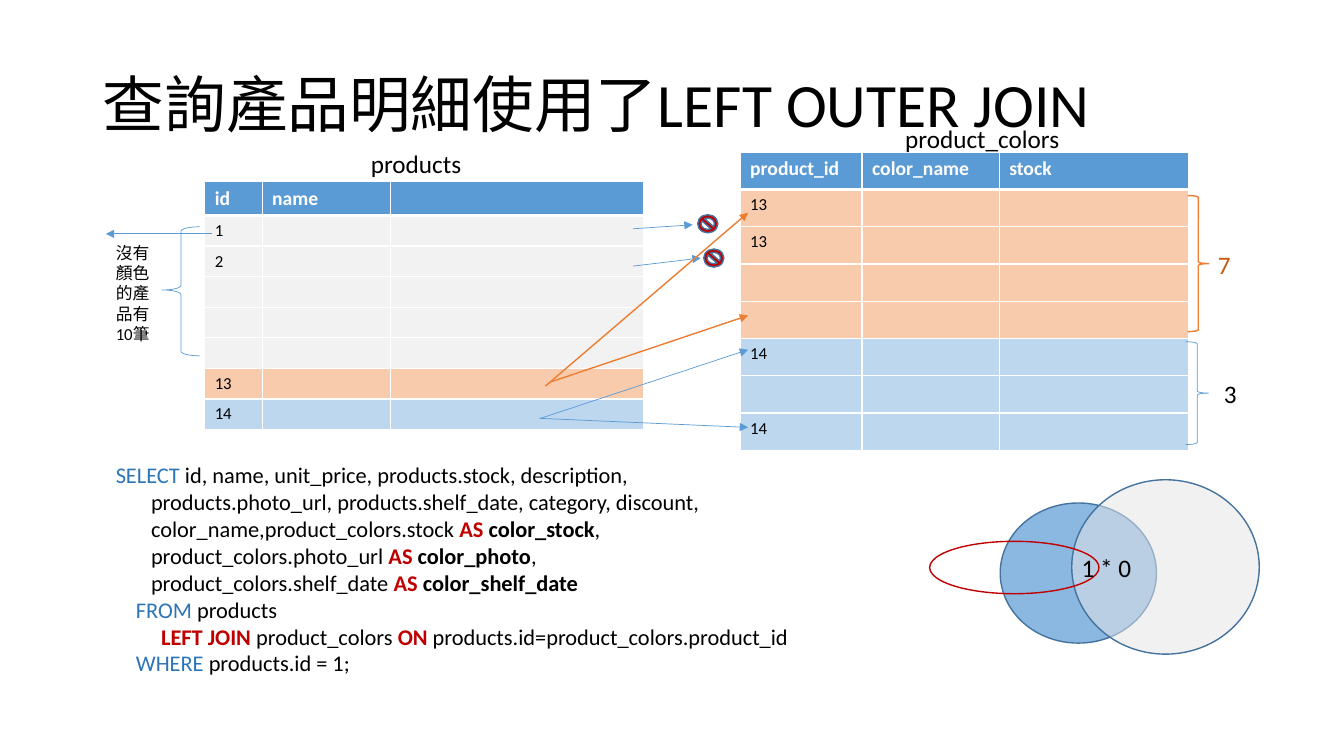
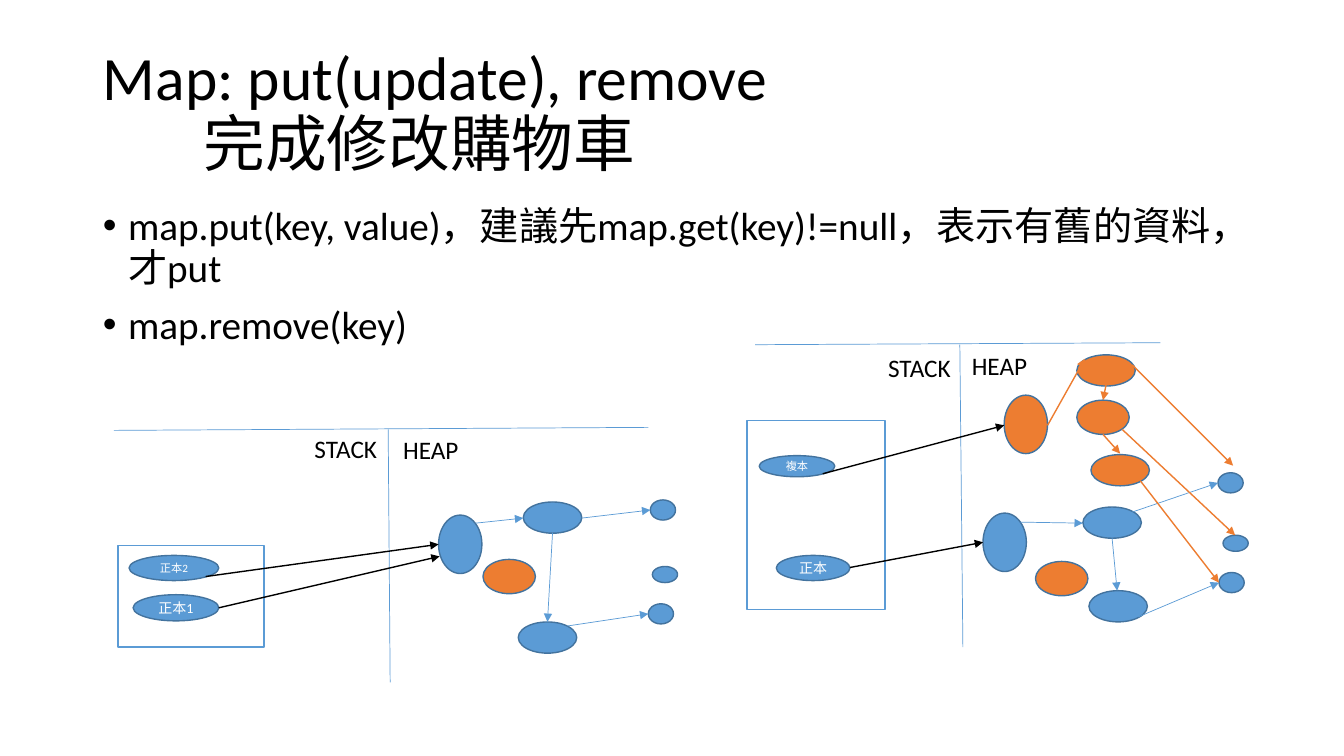
from lxml.etree import SubElement
from pptx import Presentation
from pptx.dml.color import RGBColor
from pptx.enum.shapes import MSO_CONNECTOR, MSO_SHAPE
from pptx.enum.text import MSO_ANCHOR, MSO_AUTO_SIZE, PP_ALIGN
from pptx.oxml.ns import qn
from pptx.util import Inches, Pt

BLACK = RGBColor(0x00, 0x00, 0x00)
WHITE = RGBColor(0xFF, 0xFF, 0xFF)
BLUE = RGBColor(0x5B, 0x9B, 0xD5)
DARK_BLUE = RGBColor(0x43, 0x73, 0x9E)
KEYWORD_BLUE = RGBColor(0x2E, 0x75, 0xB6)
PALE_BLUE = RGBColor(0xBD, 0xD7, 0xEE)
ORANGE = RGBColor(0xED, 0x7D, 0x31)
DARK_ORANGE = RGBColor(0xC5, 0x5A, 0x11)
PALE_ORANGE = RGBColor(0xF8, 0xCB, 0xAD)
RED = RGBColor(0xC0, 0x00, 0x00)
GRAY = RGBColor(0xE7, 0xE6, 0xE6)
PALE_GRAY = RGBColor(0xF2, 0xF2, 0xF2)
FONT = "Calibri"
GRID = Inches(1)
MARGIN, CONTENT_WIDTH = 0.92, 11.5


def style_run(run, size, color, bold=False):
    run.font.name = FONT
    run.font.size = Pt(size)
    run.font.color.rgb = color
    run.font.bold = bold


def add_outlined(slide, kind, box, fill=None, line=DARK_BLUE, width=1, opacity=100):
    shape = slide.shapes.add_shape(kind, *[int(GRID * length) for length in box])
    shape.shadow.inherit = False
    shape.line.color.rgb = line
    shape.line.width = Pt(width)
    if fill is None:
        shape.fill.background()
    else:
        shape.fill.solid()
        shape.fill.fore_color.rgb = fill
        if opacity < 100:
            color = shape.fill._xPr.find(".//" + qn("a:srgbClr"))
            SubElement(color, qn("a:alpha"), val=str(opacity * 1000))
    return shape


presentation = Presentation()
presentation.slide_width = int(GRID * 13.33)
presentation.slide_height = int(GRID * 7.5)
join_slide = presentation.slides.add_slide(presentation.slide_layouts[5])
map_slide = presentation.slides.add_slide(presentation.slide_layouts[1])

titles = [
    (join_slide, "查詢產品明細使用了LEFT OUTER JOIN", 0.51, 1.11),
    (map_slide, "Map: put(update), remove\v\t完成修改購物車", 0.4, 1.45),
]
for slide, text, top, height in titles:
    title = slide.shapes.title
    title.left, title.top = int(GRID * MARGIN), int(GRID * top)
    title.width, title.height = int(GRID * CONTENT_WIDTH), int(GRID * height)
    title.text_frame.text = text
    title.text_frame.auto_size = MSO_AUTO_SIZE.NONE
    title.text_frame.vertical_anchor = MSO_ANCHOR.MIDDLE
    paragraph = title.text_frame.paragraphs[0]
    paragraph.alignment = PP_ALIGN.LEFT
    paragraph.line_spacing = 0.9
    paragraph._p.get_or_add_pPr().set("defTabSz", str(GRID))
    for run in paragraph.runs:
        style_run(run, 44, BLACK)

body = map_slide.placeholders[1]
body.left, body.top = int(GRID * MARGIN), GRID * 2
body.width, body.height = int(GRID * CONTENT_WIDTH), int(GRID * 4.76)
body.text_frame.text = (
    "map.put(key, value)，建議先map.get(key)!=null，表示有舊的資料，才put\n"
    "map.remove(key)"
)
body.text_frame.auto_size = MSO_AUTO_SIZE.NONE
for paragraph in body.text_frame.paragraphs:
    paragraph.line_spacing = 0.9
    paragraph.space_before = Pt(10)
    properties = paragraph._p.get_or_add_pPr()
    properties.set("marL", str(GRID // 4))
    properties.set("indent", str(-GRID // 4))
    for run in paragraph.runs:
        style_run(run, 28, BLACK)

tables = [
    (2.03, 1.8, [0.57, 1.27, 2.51], 0.31, 0.3, ["id", "name", ""],
     ["1", "2", "", "", "", "13", "14"],
     [PALE_GRAY] * 5 + [PALE_ORANGE, PALE_BLUE]),
    (7.34, 1.51, [1.21, 1.36, 1.88], 0.37, 0.37,
     ["product_id", "color_name", "stock"],
     ["13", "13", "", "", "14", "", "14"],
     [PALE_ORANGE] * 4 + [PALE_BLUE] * 3),
]
for left, top, widths, header_height, row_height, headers, keys, fills in tables:
    rows = [headers] + [[key, "", ""] for key in keys]
    heights = [header_height] + [row_height] * len(keys)
    table = join_slide.shapes.add_table(
        len(rows), len(widths), int(GRID * left), int(GRID * top),
        int(GRID * sum(widths)), int(GRID * sum(heights))).table
    for column, width in zip(table.columns, widths):
        column.width = int(GRID * width)
    for row_index, (texts, fill) in enumerate(zip(rows, [BLUE] + fills)):
        table.rows[row_index].height = int(GRID * heights[row_index])
        is_header = row_index == 0
        size = 14 if is_header else 12
        for column_index, text in enumerate(texts):
            cell = table.cell(row_index, column_index)
            cell_properties = cell._tc.get_or_add_tcPr()
            for side in ("L", "R", "T", "B"):
                thick = (is_header and side == "B") or (row_index == 1 and side == "T")
                border = SubElement(cell_properties, qn("a:ln" + side),
                                    w=str(Pt(3 if thick else 1)))
                border_fill = SubElement(border, qn("a:solidFill"))
                SubElement(border_fill, qn("a:srgbClr"), val=str(WHITE))
            cell.fill.solid()
            cell.fill.fore_color.rgb = fill
            paragraph = cell.text_frame.paragraphs[0]
            if text:
                paragraph.text = text
                style_run(paragraph.runs[0], size, WHITE if is_header else BLACK, is_header)
            else:
                paragraph._p.get_or_add_endParaRPr().set("sz", str(size * 100))

add_outlined(join_slide, MSO_SHAPE.RIGHT_BRACE, (11.78, 1.94, 0.21, 1.35), line=ORANGE)
add_outlined(join_slide, MSO_SHAPE.RIGHT_BRACE, (11.76, 3.39, 0.23, 1.02), line=BLUE, width=0.5)
missing_brace = add_outlined(join_slide, MSO_SHAPE.LEFT_BRACE, (1.61, 2.25, 0.37, 1.28),
                             line=BLUE, width=0.5)
missing_brace.adjustments[0] = 0.12
missing_brace.adjustments[1] = 0.49
add_outlined(join_slide, MSO_SHAPE.OVAL, (9.92, 4.99, 1.55, 1.39), BLUE, opacity=70)
add_outlined(join_slide, MSO_SHAPE.OVAL, (10.63, 4.76, 1.86, 1.73), GRAY, opacity=52)
add_outlined(join_slide, MSO_SHAPE.OVAL, (9.22, 5.37, 1.68, 0.52), line=RED)
for left, top in [(6.92, 2.13), (6.98, 2.47)]:
    add_outlined(join_slide, MSO_SHAPE.NO_SYMBOL, (left, top, 0.2, 0.18), RED)

for box in [(7.41, 4.17, 1.37, 1.88), (1.17, 5.41, 1.45, 1.01)]:
    add_outlined(map_slide, MSO_SHAPE.RECTANGLE, box, WHITE, BLUE)

references = [
    ("正本", 10, (7.7, 5.51, 0.73, 0.25)),
    ("複本", 8, (7.53, 4.52, 0.75, 0.21)),
    ("正本1", 10, (1.32, 5.9, 0.85, 0.26)),
    ("正本2", 8, (1.28, 5.51, 0.89, 0.25)),
]
for text, size, box in references:
    shape = add_outlined(map_slide, MSO_SHAPE.OVAL, box, BLUE)
    shape.text_frame.text = text
    shape.text_frame.vertical_anchor = MSO_ANCHOR.MIDDLE
    paragraph = shape.text_frame.paragraphs[0]
    paragraph.alignment = PP_ALIGN.CENTER
    style_run(paragraph.runs[0], size, WHITE)

heap_nodes = [
    (BLUE, 0.43, 0.58, [(9.75, 5.09), (4.35, 5.11)]),
    (BLUE, 0.58, 0.31, [(10.74, 5.03), (10.8, 5.86), (5.19, 4.98), (5.14, 6.17)]),
    (BLUE, 0.25, 0.2, [(12.08, 4.69), (12.09, 5.68), (6.45, 4.96), (6.43, 5.99)]),
    (BLUE, 0.25, 0.16, [(12.13, 5.31), (6.47, 5.62)]),
    (ORANGE, 0.43, 0.58, [(9.96, 3.92)]),
    (ORANGE, 0.58, 0.31, [(10.68, 3.52), (10.82, 4.51)]),
    (ORANGE, 0.52, 0.34, [(10.68, 3.97), (10.27, 5.57), (4.79, 5.55)]),
]
for fill, width, height, corners in heap_nodes:
    for left, top in corners:
        add_outlined(map_slide, MSO_SHAPE.OVAL, (left, top, width, height), fill)

line_groups = [
    (join_slide, BLUE, 0.5, True, [
        (6.28, 2.27, 6.87, 2.23), (6.28, 2.64, 6.95, 2.56), (5.36, 4.15, 7.42, 3.47),
        (5.35, 4.15, 7.42, 4.24), (2.1, 2.32, 1.05, 2.32)]),
    (join_slide, ORANGE, 1, True, [(5.41, 3.83, 7.42, 2.11), (5.46, 3.79, 7.42, 3.13)]),
    (map_slide, BLUE, 0.5, False, [
        (7.49, 3.42, 11.51, 3.4), (9.52, 3.42, 9.55, 6.42),
        (1.13, 4.27, 6.43, 4.24), (3.85, 4.26, 3.87, 6.77)]),
    (map_slide, BLACK, 1, True, [
        (8.43, 5.63, 9.75, 5.38), (8.16, 4.7, 9.96, 4.22),
        (2.17, 6.03, 4.36, 5.52), (2.04, 5.72, 4.35, 5.4)]),
    (map_slide, BLUE, 0.5, True, [
        (10.12, 5.18, 10.74, 5.19), (11.23, 5.08, 12.08, 4.79), (11.03, 5.34, 11.08, 5.86),
        (11.29, 6.12, 12.09, 5.78), (4.72, 5.19, 5.19, 5.14), (5.77, 5.14, 6.45, 5.06),
        (5.48, 5.29, 5.43, 6.17), (5.63, 6.21, 6.43, 6.09)]),
    (map_slide, ORANGE, 1, True, [
        (10.97, 3.82, 10.94, 3.97), (10.94, 4.31, 11.11, 4.5), (10.39, 4.22, 10.76, 3.56),
        (11.23, 3.62, 12.23, 4.62), (11.13, 4.26, 12.25, 5.31), (11.31, 4.77, 12.09, 5.78)]),
]
for slide, color, width, has_arrow, lines in line_groups:
    for ends in lines:
        connector = slide.shapes.add_connector(
            MSO_CONNECTOR.STRAIGHT, *[int(GRID * length) for length in ends])
        connector.line.color.rgb = color
        connector.line.width = Pt(width)
        if has_arrow:
            SubElement(connector.line._get_or_add_ln(), qn("a:tailEnd"), type="triangle")
        SubElement(connector._element.spPr, qn("a:effectLst"))

labels = [
    (join_slide, "3", (12.04, 3.7, 0.27, 0.4), 18, BLACK, True),
    (join_slide, "7", (11.98, 2.42, 0.38, 0.4), 18, DARK_ORANGE, True),
    (join_slide, "沒有顏色的產品有10筆", (1.05, 2.36, 0.54, 1.11), 12, BLACK, True),
    (join_slide, "products", (3.58, 1.42, 1.11, 0.4), 18, BLACK, False),
    (join_slide, "product_colors", (8.88, 1.17, 1.75, 0.4), 18, BLACK, False),
    (join_slide, "1 * 0", (10.63, 5.43, 0.79, 0.4), 18, BLACK, True),
    (map_slide, "STACK", (8.71, 3.45, 0.83, 0.4), 18, BLACK, False),
    (map_slide, "HEAP", (9.54, 3.43, 0.75, 0.4), 18, BLACK, False),
    (map_slide, "STACK", (3.02, 4.25, 0.83, 0.4), 18, BLACK, False),
    (map_slide, "HEAP", (3.9, 4.26, 0.75, 0.4), 18, BLACK, False),
]
for slide, text, box, size, color, wraps in labels:
    label = slide.shapes.add_textbox(*[int(GRID * length) for length in box])
    label.text_frame.word_wrap = wraps
    label.text_frame.text = text
    style_run(label.text_frame.paragraphs[0].runs[0], size, color)

plain, strong = (BLACK, False), (BLACK, True)
keyword, highlight = (KEYWORD_BLUE, False), (RED, True)
query_lines = [
    (0, [("SELECT", keyword),
         (" id, name, unit_price, products.stock, description,", plain)]),
    (0.35, [("products.photo_url, products.shelf_date, category, discount,", plain)]),
    (0.35, [("color_name,product_colors.stock ", plain), ("AS ", highlight),
            ("color_stock", strong), (",", plain)]),
    (0.35, [("product_colors.photo_url ", plain), ("AS ", highlight),
            ("color_photo", strong), (",", plain)]),
    (0.35, [("product_colors.shelf_date ", plain), ("AS ", highlight),
            ("color_shelf_date", strong)]),
    (0.2, [("FROM ", keyword), ("products", plain)]),
    (0.45, [("LEFT JOIN ", highlight), ("product_colors ", plain), ("ON", highlight),
            (" products.id=product_colors.product_id", plain)]),
    (0.2, [("WHERE ", keyword), ("products.id = 1;", plain)]),
]
query = join_slide.shapes.add_textbox(
    *[int(GRID * length) for length in (1.05, 4.53, 7.93, 2.26)])
query.text_frame.word_wrap = True
for index, (indent, pieces) in enumerate(query_lines):
    paragraph = query.text_frame.add_paragraph() if index else query.text_frame.paragraphs[0]
    paragraph._p.get_or_add_pPr().set("marL", str(int(GRID * indent)))
    for text, (color, bold) in pieces:
        run = paragraph.add_run()
        run.text = text
        style_run(run, 16, color, bold)

presentation.save("out.pptx")
